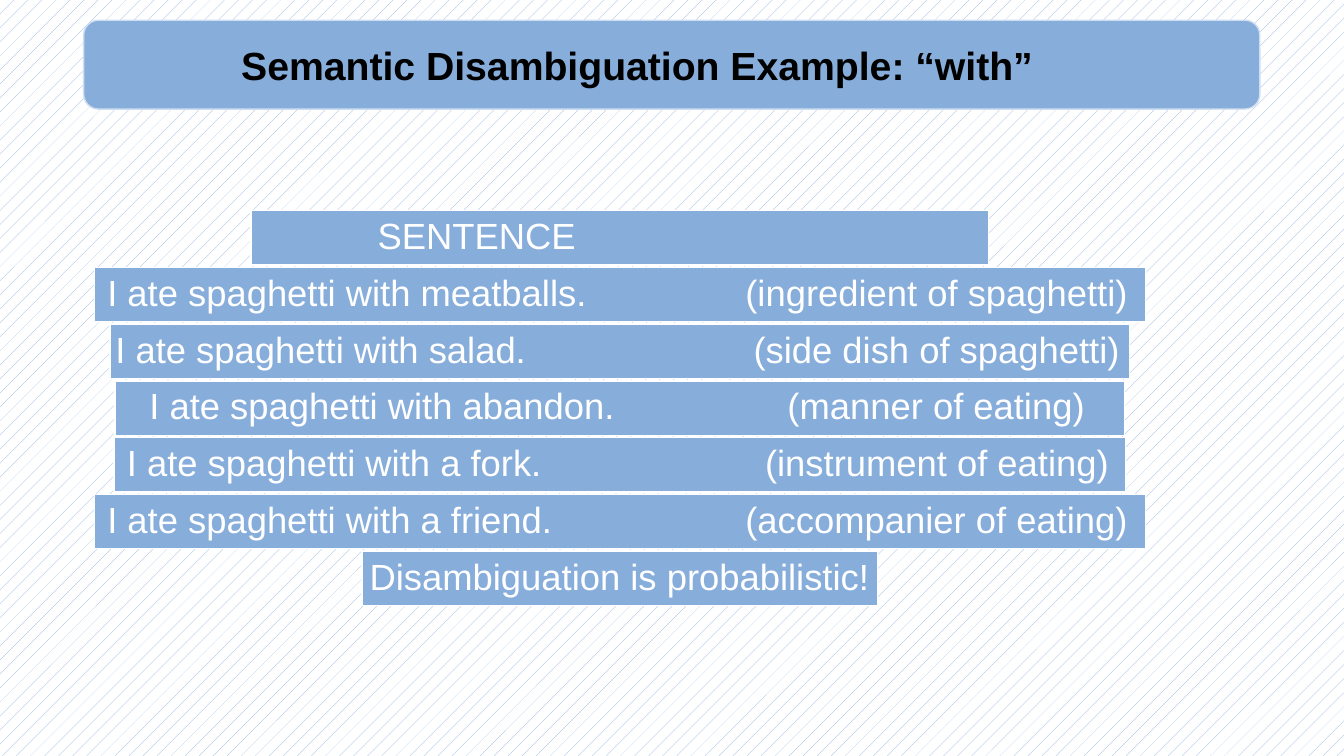
from lxml import etree
from pptx import Presentation
from pptx.dml.color import RGBColor
from pptx.enum.dml import MSO_PATTERN
from pptx.enum.shapes import MSO_SHAPE
from pptx.enum.text import MSO_ANCHOR, PP_ALIGN
from pptx.oxml.ns import qn
from pptx.util import Cm, Pt

BLUE = "87ADDB"
PALE_BLUE = "CFDEF1"
WHITE = "FFFFFF"
BLACK = "000000"


def color(hex_string):
    return RGBColor.from_string(hex_string)


class SlideBuilder:
    font = "Arial"
    bar_center = 15.62
    bar_height = 1.37
    meaning_tab = 16.08

    def __init__(self, slide):
        self.slide = slide

    def background(self):
        fill = self.slide.background.fill
        fill.patterned()
        fill.pattern = MSO_PATTERN.PERCENT_5
        fill.fore_color.rgb = color(BLUE)
        fill.back_color.rgb = color(WHITE)

    def panel(self, kind, left, top, width, height, outline, indent):
        panel = self.slide.shapes.add_shape(
            kind, Cm(left), Cm(top), Cm(width), Cm(height))
        panel.shadow.inherit = False
        panel.fill.solid()
        panel.fill.fore_color.rgb = color(BLUE)
        panel.line.color.rgb = color(outline)
        panel.line.width = Pt(1)
        frame = panel.text_frame
        frame.word_wrap = True
        frame.vertical_anchor = MSO_ANCHOR.MIDDLE
        frame.margin_left = Cm(indent)
        frame.margin_right = 0
        return frame

    def add_text(self, paragraph, text, size, ink, bold=False):
        run = paragraph.add_run()
        run.text = text
        run.font.name = self.font
        run.font.size = Pt(size)
        run.font.bold = bold
        run.font.color.rgb = color(ink)

    def title(self, text):
        frame = self.panel(MSO_SHAPE.ROUNDED_RECTANGLE, 2.11, 0.51, 29.64, 2.24,
                           PALE_BLUE, 3.86)
        heading = frame.paragraphs[0]
        heading.alignment = PP_ALIGN.LEFT
        self.add_text(heading, text, 28, BLACK, bold=True)

    def bar(self, top, width, indent, text, align):
        frame = self.panel(MSO_SHAPE.RECTANGLE, self.bar_center - width / 2, top,
                           width, self.bar_height, WHITE, indent)
        frame.margin_top = frame.margin_bottom = Cm(0.18)
        sentence = frame.paragraphs[0]
        sentence.alignment = align
        sentence.line_spacing = 0.9
        if "\t" in text:
            tabs = etree.SubElement(sentence._p.get_or_add_pPr(), qn("a:tabLst"))
            etree.SubElement(tabs, qn("a:tab"), pos=str(Cm(self.meaning_tab)), algn="l")
        self.add_text(sentence, text, 26, WHITE)


def main():
    deck = Presentation()
    deck.slide_width, deck.slide_height = Cm(33.87), Cm(19.05)
    builder = SlideBuilder(deck.slides.add_slide(deck.slide_layouts[6]))
    builder.background()

    sentences = [
        (18.59, 3.19, "SENTENCE", PP_ALIGN.LEFT),
        (26.49, 0.33, "I ate spaghetti with meatballs.\t(ingredient of spaghetti)", PP_ALIGN.LEFT),
        (25.7, 0.14, "I ate spaghetti with salad.\t(side dish of spaghetti)", PP_ALIGN.LEFT),
        (25.45, 0.87, "I ate spaghetti with abandon.\t(manner of eating)", PP_ALIGN.LEFT),
        (25.5, 0.33, "I ate spaghetti with a fork.\t(instrument of eating)", PP_ALIGN.LEFT),
        (26.49, 0.33, "I ate spaghetti with a friend.\t(accompanier of eating)", PP_ALIGN.LEFT),
        (13, 0, "Disambiguation is probabilistic!", PP_ALIGN.CENTER),
    ]
    first_top, pitch = 5.31, 1.43
    for row, (width, indent, text, align) in enumerate(sentences):
        builder.bar(first_top + row * pitch, width, indent, text, align)

    builder.title("Semantic Disambiguation Example: “with”")
    deck.save("out.pptx")


if __name__ == "__main__":
    main()
